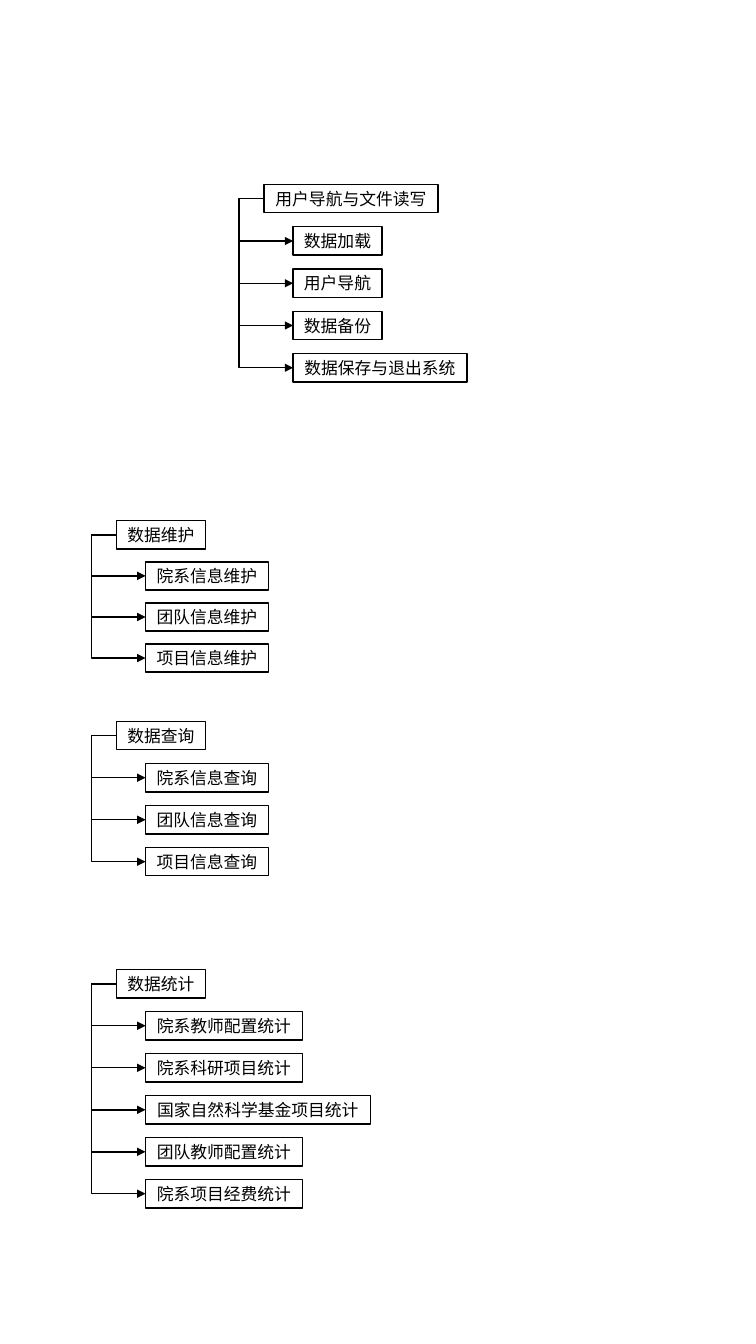
from dataclasses import dataclass

from lxml.etree import SubElement
from pptx import Presentation
from pptx.dml.color import RGBColor
from pptx.enum.shapes import MSO_CONNECTOR, MSO_SHAPE
from pptx.enum.text import MSO_ANCHOR, PP_ALIGN
from pptx.oxml.ns import qn
from pptx.util import Pt


@dataclass(frozen=True)
class Theme:
    ink: RGBColor = RGBColor(0, 0, 0)
    paper: RGBColor = RGBColor(255, 255, 255)
    font: str = "Noto Sans CJK SC"
    text_size: int = 12
    line_width: int = 1


theme = Theme()

BOX_HEIGHT = 20.2
CHARACTER_WIDTH = 12.15
BOX_PADDING = 14.75
CHILD_INDENT = 20.7
TRUNK_OFFSET = 18
LEFT_SITE = 1

# Each module: left, top, row step, heading, functions
modules = [
    (188.7, 131.8, 30.2, "用户导航与文件读写",
     ["数据加载", "用户导航", "数据备份", "数据保存与退出系统"]),
    (83.3, 372, 29.3, "数据维护",
     ["院系信息维护", "团队信息维护", "项目信息维护"]),
    (83.3, 515.4, 30, "数据查询",
     ["院系信息查询", "团队信息查询", "项目信息查询"]),
    (83.3, 692.6, 30, "数据统计",
     ["院系教师配置统计", "院系科研项目统计", "国家自然科学基金项目统计",
      "团队教师配置统计", "院系项目经费统计"]),
]

presentation = Presentation()
presentation.slide_width = Pt(540)
presentation.slide_height = Pt(960)
slide = presentation.slides.add_slide(presentation.slide_layouts[6])


def add_box(left, top, label):
    width = len(label) * CHARACTER_WIDTH + BOX_PADDING
    shape = slide.shapes.add_shape(
        MSO_SHAPE.RECTANGLE, Pt(left), Pt(top), Pt(width), Pt(BOX_HEIGHT))
    shape.shadow.inherit = False
    shape.fill.solid()
    shape.fill.fore_color.rgb = theme.paper
    shape.line.color.rgb = theme.ink
    shape.line.width = Pt(theme.line_width)

    text_frame = shape.text_frame
    text_frame.word_wrap = False
    text_frame.vertical_anchor = MSO_ANCHOR.MIDDLE
    paragraph = text_frame.paragraphs[0]
    paragraph.alignment = PP_ALIGN.CENTER
    run = paragraph.add_run()
    run.text = label
    run.font.size = Pt(theme.text_size)
    run.font.color.rgb = theme.ink
    run.font.name = theme.font
    SubElement(run.font._element, qn("a:ea"), typeface=theme.font)
    return shape


def add_branch(heading, function):
    connector = slide.shapes.add_connector(MSO_CONNECTOR.ELBOW, 0, 0, 0, 0)
    connector.begin_connect(heading, LEFT_SITE)
    connector.end_connect(function, LEFT_SITE)
    connector.line.color.rgb = theme.ink
    connector.line.width = Pt(theme.line_width)
    properties = connector._element.spPr

    # Leave the heading leftwards and bend at the trunk
    transform = properties.find(qn("a:xfrm"))
    for name, value in (("rot", "10800000"), ("flipH", "1"), ("flipV", "1")):
        transform.set(name, value)
    geometry = properties.find(qn("a:prstGeom"))
    adjustments = geometry.find(qn("a:avLst"))
    if adjustments is None:
        adjustments = SubElement(geometry, qn("a:avLst"))
    bend = round(-TRUNK_OFFSET / CHILD_INDENT * 100000)
    SubElement(adjustments, qn("a:gd"), name="adj1", fmla=f"val {bend}")

    # Arrowhead, no shadow
    SubElement(properties.find(qn("a:ln")), qn("a:tailEnd"), type="triangle")
    SubElement(properties, qn("a:effectLst"))


# Module trees
for left, top, step, title, labels in modules:
    heading = add_box(left, top, title)
    for row, label in enumerate(labels, start=1):
        function = add_box(left + CHILD_INDENT, top + row * step, label)
        add_branch(heading, function)

presentation.save("out.pptx")
